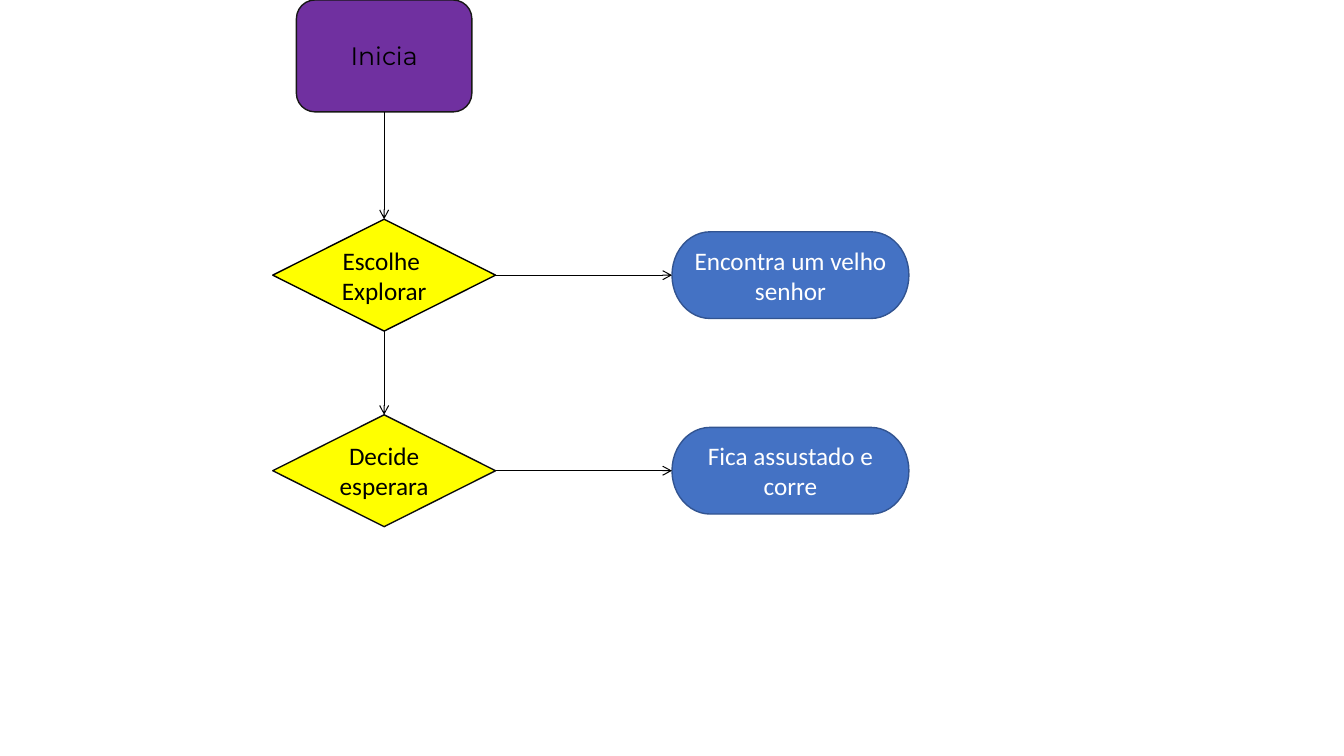
import pptx
import pptx.util
import pptx.dml.color
import pptx.enum.shapes
import pptx.enum.text
import pptx.oxml
import pptx.oxml.ns

Inches = pptx.util.Inches
Pt = pptx.util.Pt
RGBColor = pptx.dml.color.RGBColor
SHAPE = pptx.enum.shapes.MSO_SHAPE

BLACK = RGBColor(0x00, 0x00, 0x00)
WHITE = RGBColor(0xFF, 0xFF, 0xFF)
PURPLE = RGBColor(0x70, 0x30, 0xA0)
YELLOW = RGBColor(0xFF, 0xFF, 0x00)
BLUE = RGBColor(0x44, 0x72, 0xC4)
CHARCOAL = RGBColor(0x18, 0x17, 0x17)
INK = RGBColor(0x0D, 0x0D, 0x0D)
NAVY = RGBColor(0x32, 0x54, 0x91)

TOP, LEFT, BOTTOM, RIGHT = range(4)
FLOW_X = 3.81
RESULT_X = 7.84
ROWS = [
    (2.73, "Escolhe  Explorar", BLACK, "Encontra um velho senhor"),
    (4.67, "Decide esperara", INK, "Fica assustado e corre"),
]


def add_node(slide, kind, box, text, fill, edge, ink, font="Calibri"):
    """Draw a labelled flowchart node in a box of centre x, centre y, width, height."""
    x, y, width, height = box
    node = slide.shapes.add_shape(
        kind, Inches(x - width / 2), Inches(y - height / 2), Inches(width), Inches(height)
    )
    node.shadow.inherit = False
    node.fill.solid()
    node.fill.fore_color.rgb = fill
    node.line.color.rgb = edge
    node.line.width = Pt(1)
    frame = node.text_frame
    frame.text = text
    frame.word_wrap = True
    frame.vertical_anchor = pptx.enum.text.MSO_ANCHOR.MIDDLE
    label = frame.paragraphs[0]
    label.alignment = pptx.enum.text.PP_ALIGN.CENTER
    for run in label.runs:
        run.font.name = font
        run.font.size = Pt(18)
        run.font.color.rgb = ink
    return node


def add_arrow(slide, start, start_site, end, end_site):
    """Join two nodes at the given sites with an open arrow."""
    arrow = slide.shapes.add_connector(pptx.enum.shapes.MSO_CONNECTOR.STRAIGHT, 0, 0, 0, 0)
    arrow.begin_connect(start, start_site)
    arrow.end_connect(end, end_site)
    arrow.line.color.rgb = BLACK
    arrow.line.width = Pt(0.75)
    tail = pptx.oxml.parse_xml(f'<a:tailEnd {pptx.oxml.ns.nsdecls("a")} type="arrow"/>')
    arrow.line._get_or_add_ln().append(tail)
    effects = pptx.oxml.parse_xml(f'<a:effectLst {pptx.oxml.ns.nsdecls("a")}/>')
    arrow._element.spPr.append(effects)


def add_row(slide, y, choice, edge, result):
    """Draw a decision with its result to the right, and return the decision."""
    decision = add_node(
        slide, SHAPE.FLOWCHART_DECISION, (FLOW_X, y, 2.21, 1.11), choice, YELLOW, edge, BLACK
    )
    outcome = add_node(
        slide, SHAPE.FLOWCHART_TERMINATOR, (RESULT_X, y, 2.35, 0.86), result, BLUE, NAVY, WHITE
    )
    add_arrow(slide, decision, RIGHT, outcome, LEFT)
    return decision


def add_flow(slide):
    """Draw the start node and the chain of decisions below it."""
    last = add_node(
        slide, SHAPE.FLOWCHART_ALTERNATE_PROCESS, (FLOW_X, 0.555, 1.74, 1.11),
        "Inicia", PURPLE, CHARCOAL, BLACK, "Montserrat",
    )
    for row in ROWS:
        decision = add_row(slide, *row)
        add_arrow(slide, last, BOTTOM, decision, TOP)
        last = decision


def main():
    """Build the flowchart slide and save it."""
    deck = pptx.Presentation()
    deck.slide_width = Inches(13.33)
    deck.slide_height = Inches(7.5)
    add_flow(deck.slides.add_slide(deck.slide_layouts[6]))
    deck.save("out.pptx")


if __name__ == "__main__":
    main()
